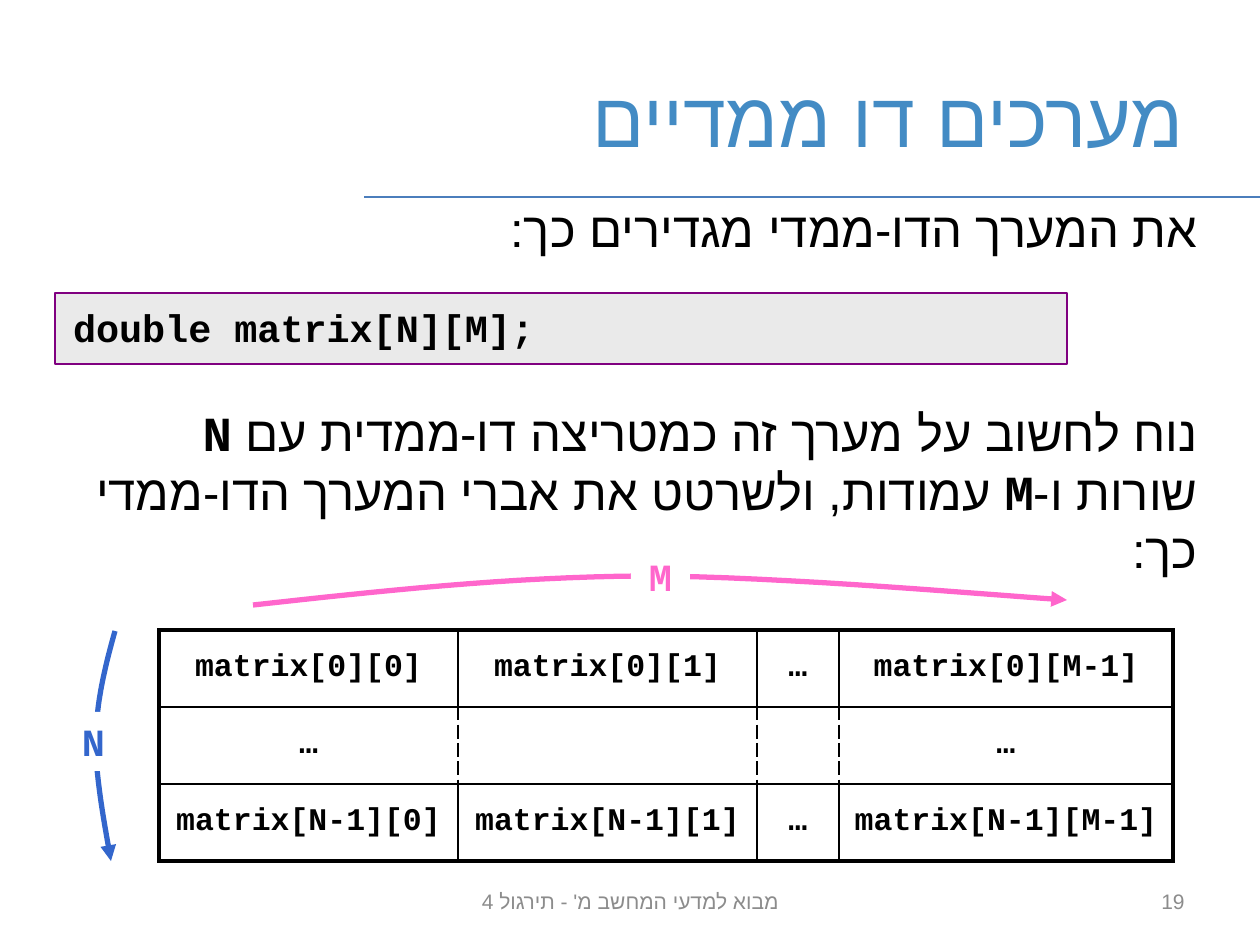
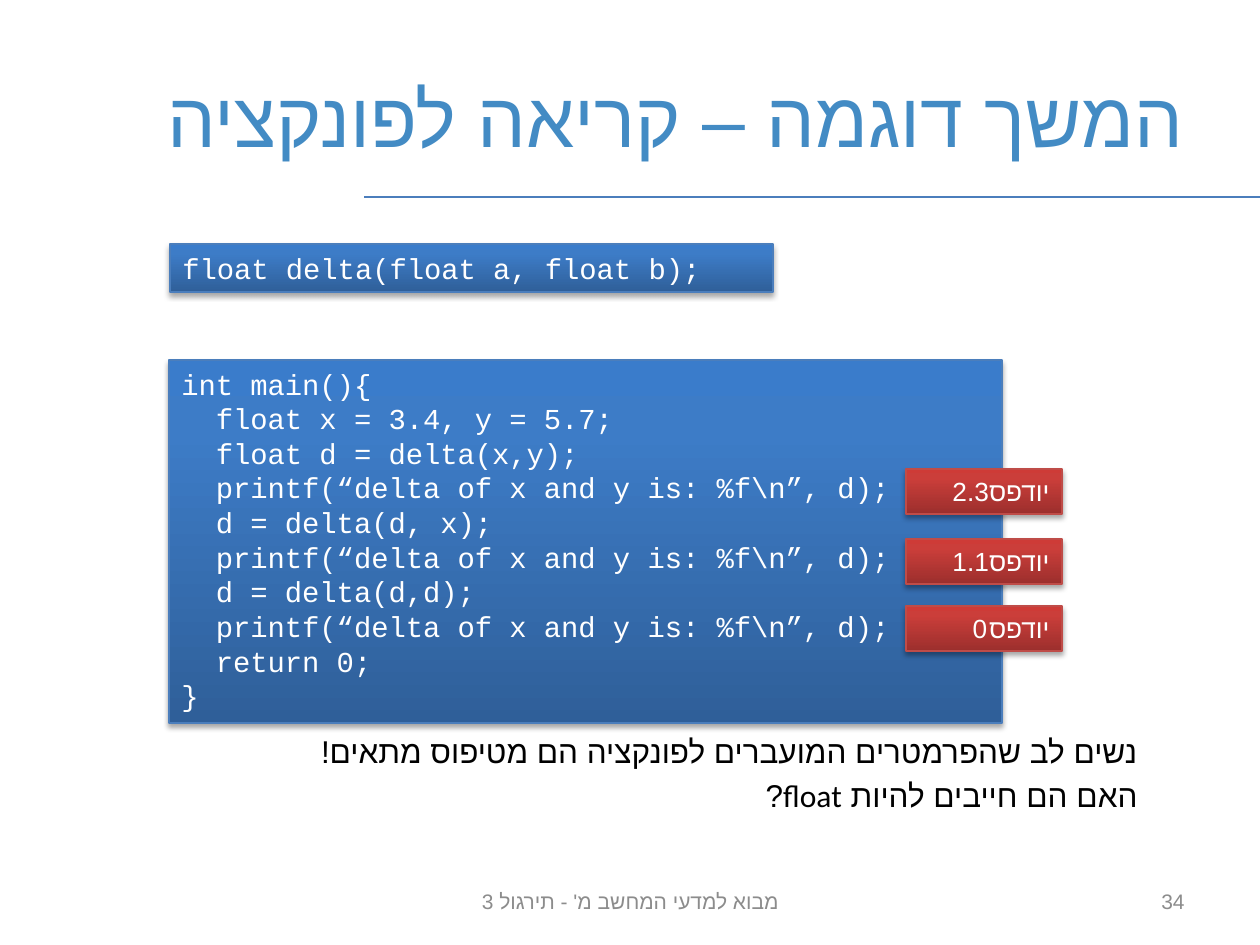
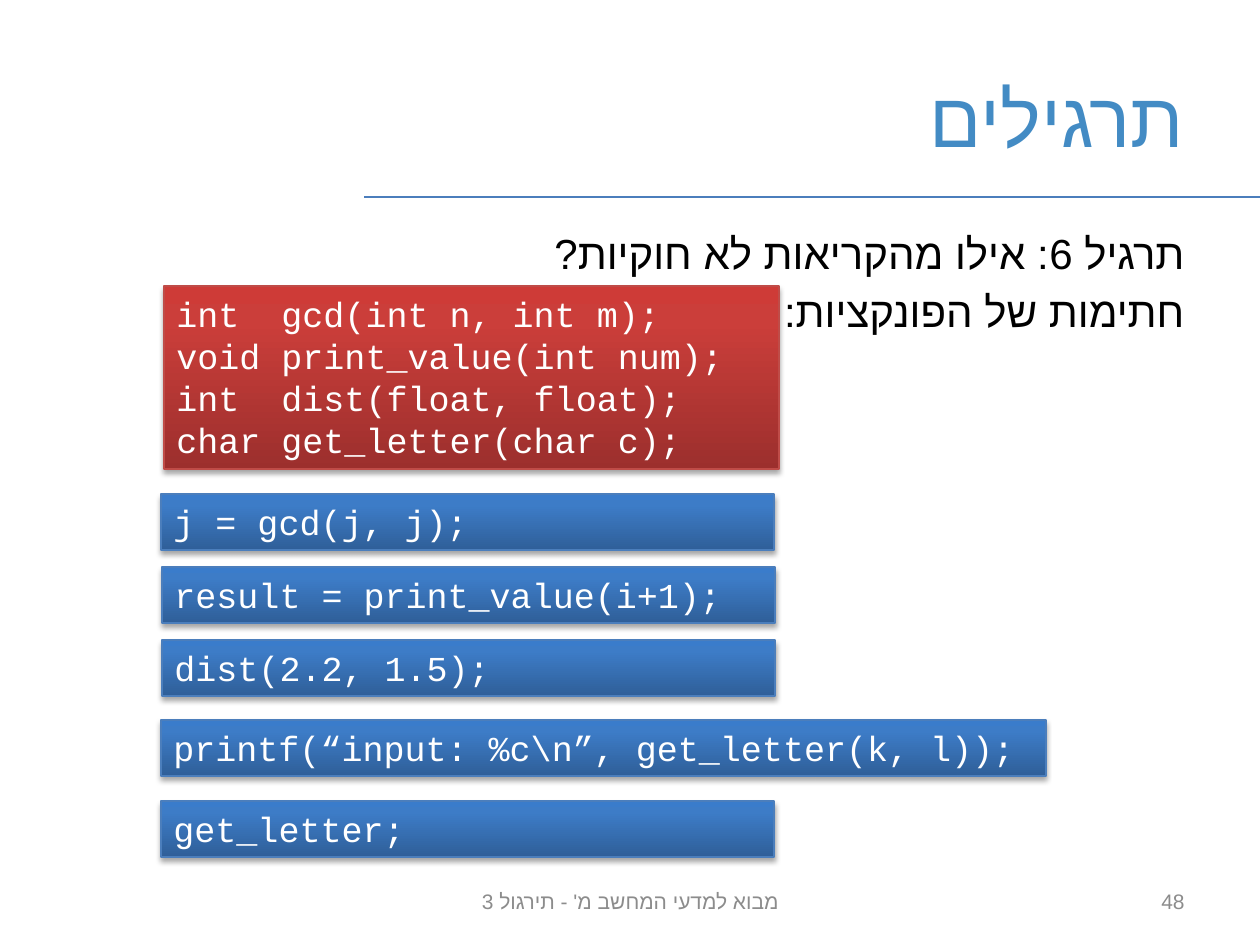
from copy import deepcopy

from lxml import etree
from pptx import Presentation
from pptx.dml.color import RGBColor
from pptx.enum.dml import MSO_LINE
from pptx.enum.shapes import MSO_CONNECTOR as CONN, MSO_SHAPE as SHAPE
from pptx.enum.text import MSO_ANCHOR as ANCHOR, PP_ALIGN as ALIGN
from pptx.oxml.ns import qn
from pptx.util import Emu, Pt

# Scale: 126 px to the inch
PX = 914400 / 126

# Colours
BLACK = RGBColor(0x00, 0x00, 0x00)
WHITE = RGBColor(0xFF, 0xFF, 0xFF)
TITLE_BLUE = RGBColor(0x43, 0x8B, 0xC4)
LINE_BLUE = RGBColor(0x4B, 0x7E, 0xBC)
LINE_RED = RGBColor(0xBF, 0x4C, 0x48)
FOOTER_GREY = RGBColor(0x8C, 0x8C, 0x8C)
CODE_GREY = RGBColor(0xEA, 0xEA, 0xEA)
PURPLE = RGBColor(0x80, 0x00, 0x80)
ROW_BLUE = RGBColor(0x33, 0x66, 0xCC)
COLUMN_PINK = RGBColor(0xFF, 0x66, 0xCC)

# Panel themes: outline, then gradient stops from the bottom up
BLUE = (LINE_BLUE, ((0, RGBColor(0x2F, 0x5F, 0x99)),
                    (0.8, RGBColor(0x3D, 0x7C, 0xC7)),
                    (1, RGBColor(0x3A, 0x7C, 0xCB))))
RED = (LINE_RED, ((0, RGBColor(0x9C, 0x2F, 0x2D)),
                  (0.8, RGBColor(0xCB, 0x3E, 0x3A)),
                  (1, RGBColor(0xCE, 0x3B, 0x37))))

# Fonts
SANS, HEBREW, SERIF, MONO = "Calibri", "Arial", "Times New Roman", "Courier New"


def px(n):
    return Emu(round(n * PX))


def sub(parent, tag, **attrs):
    el = etree.SubElement(parent, qn(tag))
    for name, value in attrs.items():
        el.set(name, str(value))
    return el


# Text
def write(tf, paragraphs, size=18, color=BLACK, font=SANS, bold=False,
          align=ALIGN.LEFT, rtl=False, space=0, tab=None):
    """Fill a text frame; a paragraph is a string or a list of (text, font, bold)."""
    tf.word_wrap = True
    for i, runs in enumerate(paragraphs):
        p = tf.paragraphs[0] if i == 0 else tf.add_paragraph()
        p.alignment = align
        if i:
            p.space_before = Pt(space)
        pPr = p._p.get_or_add_pPr()
        if rtl:
            pPr.set("rtl", "1")
        if tab:
            sub(sub(pPr, "a:tabLst"), "a:tab", pos=px(tab), algn="l")
        if isinstance(runs, str):
            runs = [(runs, font, bold)]
        for text, face, heavy in runs:
            r = p.add_run()
            r.text = text
            r.font.size, r.font.bold, r.font.name = Pt(size), heavy, face
            r.font.color.rgb = color
            sub(r._r.get_or_add_rPr(), "a:cs", typeface=HEBREW)


def text_box(slide, x, y, w, h, paragraphs, anchor=ANCHOR.TOP, **fmt):
    tf = slide.shapes.add_textbox(px(x), px(y), px(w), px(h)).text_frame
    tf.vertical_anchor = anchor
    write(tf, paragraphs, **fmt)


def hebrew_box(slide, x, y, w, h, paragraphs, align=ALIGN.RIGHT, **fmt):
    text_box(slide, x, y, w, h, paragraphs, align=align, rtl=True, **fmt)


# Shapes
def rect(slide, x, y, w, h, paragraphs, fill=None, line=None, **fmt):
    s = slide.shapes.add_shape(SHAPE.RECTANGLE, px(x), px(y), px(w), px(h))
    s.shadow.inherit = False
    if fill is not None:
        s.fill.solid()
        s.fill.fore_color.rgb = fill
    if line is None:
        s.line.fill.background()
    else:
        s.line.color.rgb = line
        s.line.width = Pt(0.75)
    s.text_frame.vertical_anchor = ANCHOR.TOP
    write(s.text_frame, paragraphs, **fmt)
    return s


def panel(slide, x, y, w, h, paragraphs, theme=BLUE, **fmt):
    """Rectangle with a three-stop gradient and a soft shadow below."""
    line, stops = theme
    s = rect(slide, x, y, w, h, paragraphs, line=line, color=WHITE, **fmt)
    s.fill.gradient()
    s.fill.gradient_angle = 90
    spPr = s._element.spPr
    gs_list = spPr.find(qn("a:gradFill")).find(qn("a:gsLst"))
    gs_list.append(deepcopy(gs_list[-1]))
    for stop, (position, color) in zip(s.fill.gradient_stops, stops):
        stop.position = position
        stop.color.rgb = color
    shadow = sub(spPr.find(qn("a:effectLst")), "a:outerShdw", blurRad=Pt(3.1),
                 dist=Pt(1.8), dir=5400000, rotWithShape=0)
    sub(sub(shadow, "a:srgbClr", val="000000"), "a:alpha", val=35000)


def code(slide, x, y, w, h, lines, size=20, theme=BLUE):
    panel(slide, x, y, w, h, lines, theme, font=MONO, size=size)


def bezier(a, b, c, d, steps=16):
    for i in range(1, steps + 1):
        t = i / steps
        u = 1 - t
        yield tuple(px(u**3 * k + 3 * u * u * t * m + 3 * u * t * t * n + t**3 * q)
                    for k, m, n, q in zip(a, b, c, d))


def curved_arrow(slide, points, color):
    """Arrow along joined cubic curves: a start, then three points for each."""
    path_points = [pt for i in range(0, len(points) - 1, 3)
                   for pt in bezier(*points[i:i + 4])]
    fb = slide.shapes.build_freeform(*map(px, points[0]), scale=1.0)
    fb.add_line_segments(path_points, close=False)
    s = fb.convert_to_shape()
    s.shadow.inherit = False
    s.fill.background()
    s.line.color.rgb = color
    s.line.width = Pt(3)
    sub(s.line._get_or_add_ln(), "a:tailEnd", type="triangle")


def dimension(slide, points, label, x, y, color):
    curved_arrow(slide, points, color)
    rect(slide, x, y, 59, 59, [label], fill=WHITE, size=22, font=MONO,
         bold=True, color=color, align=ALIGN.CENTER)


# Table
def border(cell, side, width, dashed=False):
    ln = sub(cell._tc.get_or_add_tcPr(), "a:" + side, w=Pt(width))
    sub(sub(ln, "a:solidFill"), "a:srgbClr", val=str(BLACK))
    sub(ln, "a:prstDash", val="dash" if dashed else "solid")


def matrix_table(slide, x, y, col_widths, row_height, rows):
    last_row, last_col = len(rows) - 1, len(col_widths) - 1
    table = slide.shapes.add_table(len(rows), len(col_widths), px(x), px(y),
                                   px(sum(col_widths)),
                                   px(row_height * len(rows))).table
    table.first_row = table.horz_banding = False
    for col, width in zip(table.columns, col_widths):
        col.width = px(width)
    for i, texts in enumerate(rows):
        table.rows[i].height = px(row_height)
        for j, text in enumerate(texts):
            cell = table.cell(i, j)
            cell.vertical_anchor = ANCHOR.MIDDLE
            if text:
                write(cell.text_frame, [text], font=MONO, bold=True,
                      align=ALIGN.CENTER)
            # Thick outer frame; inner verticals of the middle row are dashed
            edges = (("lnL", j == 0), ("lnR", j == last_col),
                     ("lnT", i == 0), ("lnB", i == last_row))
            for side, outer in edges:
                dashed = side in ("lnL", "lnR") and 0 < i < last_row and not outer
                border(cell, side, 2.25 if outer else 1, dashed)
            cell.fill.background()


# Shared frame: title, rule, footer and page number
def new_slide(prs, title, lesson, page):
    slide = prs.slides.add_slide(prs.slide_layouts[6])
    rule = slide.shapes.add_connector(CONN.STRAIGHT, px(1260), px(197),
                                      px(364), px(197))
    rule.line.color.rgb = LINE_BLUE
    rule.line.width = Pt(0.75)
    sub(rule._element.spPr, "a:effectLst")
    hebrew_box(slide, 63, 38, 1134, 158, [title], anchor=ANCHOR.MIDDLE,
               size=44, font=HEBREW, color=TITLE_BLUE)
    small = dict(anchor=ANCHOR.MIDDLE, size=12, color=FOOTER_GREY)
    hebrew_box(slide, 431, 876, 399, 50,
               [f"מבוא למדעי המחשב מ' - תירגול {lesson}"],
               align=ALIGN.CENTER, **small)
    hebrew_box(slide, 903, 876, 294, 50, [str(page)], **small)
    return slide


def arrays_slide(prs):
    slide = new_slide(prs, "מערכים דו ממדיים", 4, 19)
    hebrew_box(slide, 76, 192, 1134, 624, [
        "את המערך הדו-ממדי מגדירים כך:",
        [("נוח לחשוב על מערך זה כמטריצה דו-ממדית עם ", SERIF, False),
         ("N", MONO, True),
         (" שורות ו-", SERIF, False),
         ("M", MONO, True),
         (" עמודות, ולשרטט את אברי המערך הדו-ממדי כך:", SERIF, False)],
    ], size=28, space=83)
    s = rect(slide, 55, 293, 1012, 71, ["double matrix[N][M];"], fill=CODE_GREY,
             line=PURPLE, size=22, font=MONO, bold=True)
    tf = s.text_frame
    tf.margin_left = tf.margin_right = px(18)
    tf.margin_top = tf.margin_bottom = px(11)

    dimension(slide, [(115, 631), (105, 667), (96, 703), (96, 741),
                      (95, 779), (108, 842), (111, 861)], "N", 64, 712, ROW_BLUE)
    dimension(slide, [(253, 605), (381, 591), (507, 577), (643, 576),
                      (779, 576), (1003, 596), (1067, 600)],
              "M", 631, 547, COLUMN_PINK)
    matrix_table(slide, 159, 630, [299, 299, 82, 334], 77, [
        ["matrix[0][0]", "matrix[0][1]", "…", "matrix[0][M-1]"],
        ["…", "", "", "…"],
        ["matrix[N-1][0]", "matrix[N-1][1]", "…", "matrix[N-1][M-1]"],
    ])


def call_slide(prs):
    slide = new_slide(prs, "המשך דוגמה – קריאה לפונקציה", 3, 34)
    hebrew_box(slide, 63, 726, 1087, 110, [
        "נשים לב שהפרמטרים המועברים לפונקציה הם מטיפוס מתאים!",
        "האם הם חייבים להיות float?",
    ], space=3.6)
    code(slide, 170, 244, 603, 48, ["float delta(float a, float b);"], size=16.5)
    show = "  printf(“delta of x and y is: %f\\n”, d);"
    code(slide, 169, 360, 833, 363, [
        "int main(){",
        "  float x = 3.4, y = 5.7;",
        "  float d = delta(x,y);",
        show,
        "  d = delta(d, x);",
        show,
        "  d = delta(d,d);",
        show,
        "  return 0;",
        "}",
    ], size=16.5)
    for y, value in ((469, "2.3"), (539, "1.1"), (606, "0")):
        panel(slide, 906, y, 156, 45, [f"יודפס\t{value}"], RED, size=15,
              align=ALIGN.RIGHT, rtl=True, tab=77)


def exercises_slide(prs):
    slide = new_slide(prs, "תרגילים", 3, 48)
    hebrew_box(slide, 63, 221, 1134, 624, [
        "תרגיל 6: אילו מהקריאות לא חוקיות?",
        "חתימות של הפונקציות:",
    ], size=24, space=4.8)
    code(slide, 164, 286, 615, 183, [
        "int  gcd(int n, int m);",
        "void print_value(int num);",
        "int  dist(float, float);",
        "char get_letter(char c);",
    ], theme=RED)
    for x, y, w, call in (
        (161, 494, 613, "j = gcd(j, j);"),
        (162, 567, 613, "result = print_value(i+1);"),
        (162, 640, 613, "dist(2.2, 1.5);"),
        (161, 720, 885, "printf(“input: %c\\n”, get_letter(k, l));"),
        (161, 801, 613, "get_letter;"),
    ):
        code(slide, x, y, w, 56, [call])


def main():
    prs = Presentation()
    prs.slide_width, prs.slide_height = px(1260), px(945)
    arrays_slide(prs)
    call_slide(prs)
    exercises_slide(prs)
    prs.save("out.pptx")


if __name__ == "__main__":
    main()
